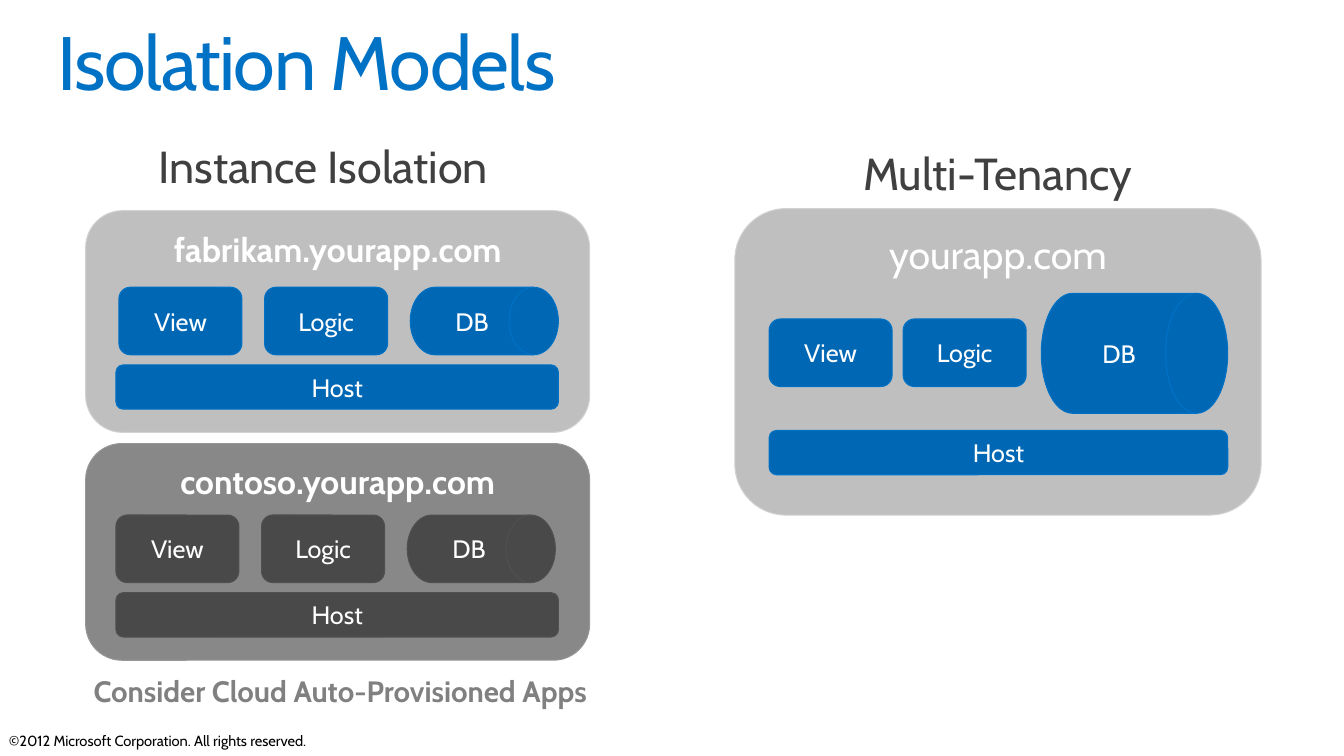
from dataclasses import dataclass
from typing import NamedTuple

from pptx import Presentation
from pptx.dml.color import RGBColor
from pptx.enum.shapes import MSO_SHAPE as Form
from pptx.enum.text import MSO_ANCHOR as Anchor, PP_ALIGN as Align
from pptx.util import Inches, Pt

# The slide is ruled in cells of a tenth of an inch.
CELL = Inches(0.1)
WIDE, HIGH = 133.33, 75

WHITE = RGBColor(0xFF, 0xFF, 0xFF)
BLACK = RGBColor(0x00, 0x00, 0x00)
TITLE = RGBColor(0x00, 0x72, 0xC6)
HEAD = RGBColor(0x40, 0x40, 0x40)
NOTE = RGBColor(0x80, 0x80, 0x80)
PALE = RGBColor(0xBF, 0xBF, 0xBF)
PALE_EDGE = RGBColor(0xD2, 0xD2, 0xD2)
GREY = RGBColor(0x88, 0x88, 0x88)
GREY_EDGE = RGBColor(0x96, 0x96, 0x96)
BLUE = RGBColor(0x00, 0x67, 0xB4)
DARK = RGBColor(0x49, 0x49, 0x49)
DARK_EDGE = RGBColor(0x50, 0x50, 0x50)

FONT = "Cabin"
TILE_W, TILE_H, HOST_H = 12.2, 6.7, 4.4
PAD = (1.3, 0.6)


class Box(NamedTuple):
    """Left, top, width and height in grid cells."""
    x: float
    y: float
    w: float
    h: float

    def emu(self) -> list[int]:
        return [round(n * CELL) for n in self]


class Paint(NamedTuple):
    fill: RGBColor
    edge: RGBColor


@dataclass
class App:
    name: str
    size: int
    bold: bool
    panel: Box
    back: Paint
    tint: Paint
    view: float
    step: float
    row: float
    drum: Box
    host: Box


@dataclass
class Label:
    text: str
    box: Box
    size: int
    color: RGBColor
    bold: bool = False


LIGHT, DIM = Paint(PALE, PALE_EDGE), Paint(GREY, GREY_EDGE)
BRIGHT, DEEP = Paint(BLUE, TITLE), Paint(DARK, DARK_EDGE)

FIRST = App("fabrikam.yourapp.com", 24, True, Box(8.5, 20.9, 50, 22), LIGHT, BRIGHT,
            11.8, 14.45, 28.5, Box(40.7, 28.5, 14.7, TILE_H), Box(11.5, 36.2, 43.9, HOST_H))
SHARED = App("yourapp.com", 28, False, Box(72.9, 20.7, 52.2, 30.4), LIGHT, BRIGHT,
             76.3, 13.3, 31.65, Box(103.3, 29.1, 18.5, 11.9), Box(76.3, 42.7, 45.5, HOST_H))
SECOND = App("contoso.yourapp.com", 24, True, Box(8.5, 44, 50, 21.5), DIM, DEEP,
             11.5, 14.45, 51.1, Box(40.4, 51.1, 14.7, TILE_H), Box(11.5, 58.8, 43.9, HOST_H))

ALONE = Label("Instance Isolation", Box(12.1, 13.2, 40, 6.7), 32, HEAD)
MANY = Label("Multi-Tenancy", Box(79, 13.9, 40, 6.7), 32, HEAD)
HINT = Label("Consider Cloud Auto-Provisioned Apps", Box(5.7, 66.2, 56.1, 4.8), 21, NOTE, True)


def write(shape, text: str, *, size: float, color: RGBColor = WHITE, bold: bool = False,
          align: Align = Align.CENTER, anchor: Anchor = Anchor.TOP,
          pad: tuple[float, float] = (1, 0.5)):
    """Fill a shape with one paragraph and return that paragraph."""
    frame = shape.text_frame
    frame.word_wrap = True
    frame.vertical_anchor = anchor
    frame.margin_left = frame.margin_right = round(pad[0] * CELL)
    frame.margin_top = frame.margin_bottom = round(pad[1] * CELL)
    para = frame.paragraphs[0]
    para.alignment = align
    run = para.add_run()
    run.text = text
    font = run.font
    font.name, font.size, font.bold = FONT, Pt(size), bold
    font.color.rgb = color
    return para


def block(shapes, form: Form, box: Box, paint: Paint, text: str, **style) -> None:
    shape = shapes.add_shape(form, *box.emu())
    shape.shadow.inherit = False
    shape.fill.solid()
    shape.fill.fore_color.rgb = paint.fill
    shape.line.color.rgb = paint.edge
    shape.line.width = Pt(0.75)
    write(shape, text, **style)


def label(shapes, item: Label) -> None:
    write(shapes.add_textbox(*item.box.emu()), item.text, size=item.size,
          color=item.color, bold=item.bold, pad=PAD)


def draw(slide, app: App, *notes: Label) -> None:
    """Group an app's panel, its parts and any labels that belong to it."""
    shapes = slide.shapes.add_group_shape().shapes
    block(shapes, Form.ROUNDED_RECTANGLE, app.panel, app.back, app.name,
          size=app.size, bold=app.bold, pad=(1, 0.7))
    parts = [("DB", Form.FLOWCHART_DIRECT_ACCESS_STORAGE, app.drum)]
    for i, name in enumerate(("View", "Logic")):
        tile = Box(app.view + i * app.step, app.row, TILE_W, TILE_H)
        parts.append((name, Form.ROUNDED_RECTANGLE, tile))
    parts.append(("Host", Form.ROUNDED_RECTANGLE, app.host))
    for name, form, box in parts:
        block(shapes, form, box, app.tint, name, size=18, anchor=Anchor.MIDDLE)
    for note in notes:
        label(shapes, note)


def main() -> None:
    deck = Presentation()
    deck.slide_width, deck.slide_height = round(WIDE * CELL), round(HIGH * CELL)
    slide = deck.slides.add_slide(deck.slide_layouts[5])

    title = slide.shapes.title
    title.left, title.top, title.width, title.height = Box(5.7, 2.5, 121.9, 8.2).emu()
    para = write(title, "Isolation Models", size=54, color=TITLE, align=Align.LEFT, pad=(0, 0))
    para.line_spacing = 0.9
    para.runs[0].font._element.set("spc", "-100")

    foot = slide.shapes.add_textbox(*Box(-0.1, 72.1, 133.4, 2.8).emu())
    write(foot, "©2012 Microsoft Corporation. All rights reserved.",
          size=10.5, color=BLACK, align=Align.LEFT)

    draw(slide, FIRST)
    label(slide.shapes, ALONE)
    draw(slide, SHARED, MANY)
    draw(slide, SECOND, HINT)
    deck.save("out.pptx")


if __name__ == "__main__":
    main()
